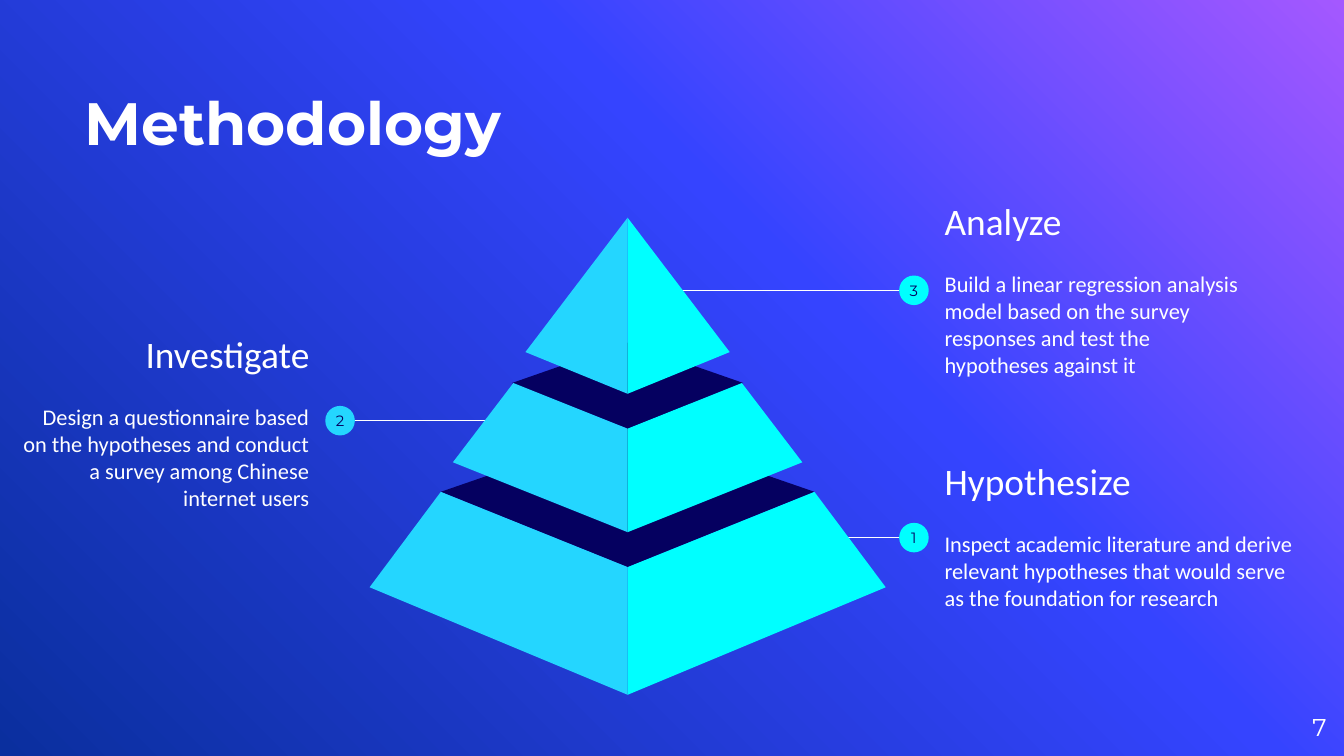
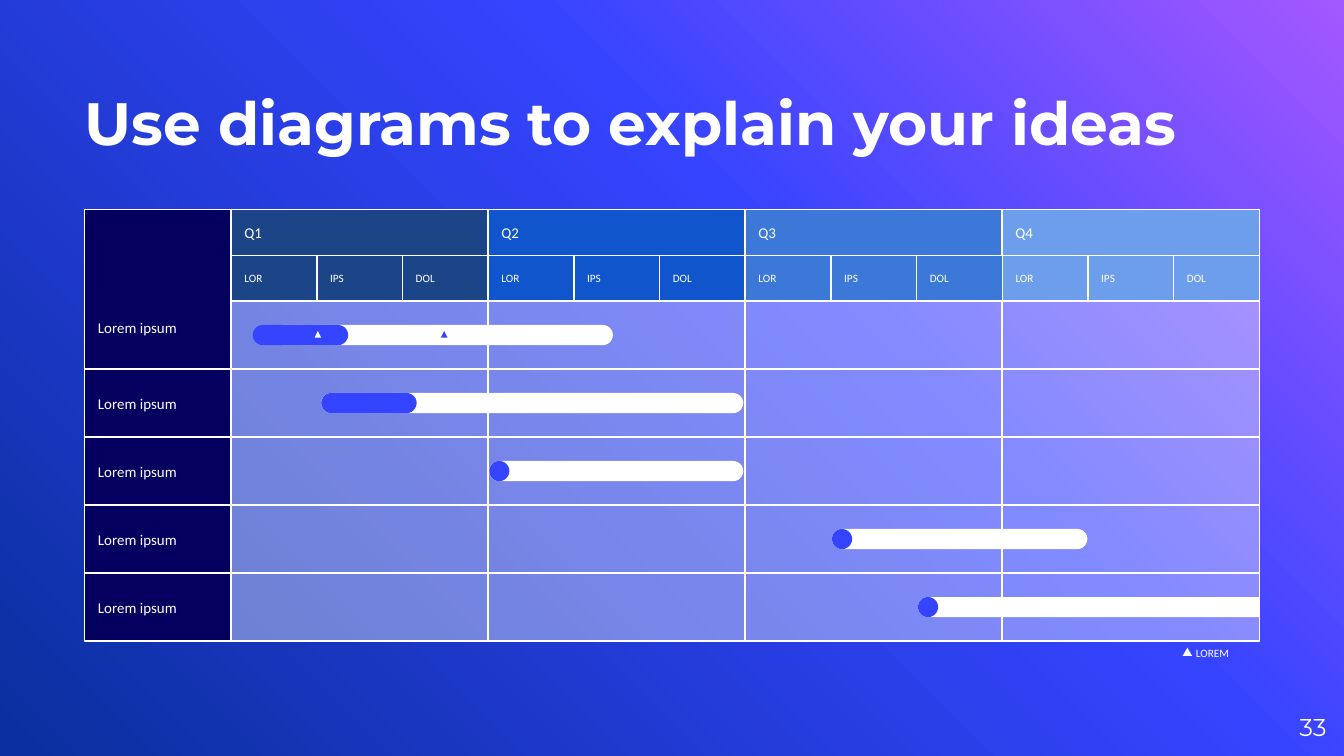
from copy import deepcopy
from dataclasses import dataclass
from itertools import product

from lxml.etree import SubElement
from pptx import Presentation
from pptx.dml.color import RGBColor
from pptx.enum.shapes import MSO_CONNECTOR, MSO_SHAPE as SHAPE
from pptx.enum.text import MSO_ANCHOR as ANCHOR, PP_ALIGN as ALIGN
from pptx.oxml.ns import qn
from pptx.util import Inches, Pt


@dataclass(frozen=True)
class Theme:
    white: str = "FFFFFF"
    navy: str = "050060"
    blue: str = "3544FF"
    sky: str = "24D6FF"
    cyan: str = "00FFFF"
    quarters: tuple = ("1C4587", "1155CC", "3C78D8", "6D9EEB")
    gradient: tuple = ((0, "A458FF"), (0.39, "3544FF"), (1, "0A2F9E"))
    display: str = "Montserrat"
    text: str = "Calibri"
    title_size: int = 32
    heading_size: int = 20
    page_size: int = 13
    body_size: int = 12
    label_size: int = 8
    small_size: int = 6
    line_width: float = 0.75
    inset: float = 0.1
    cell_alpha: int = 38


T = Theme()


@dataclass(frozen=True)
class Box:
    x: float
    y: float
    w: float
    h: float

    @property
    def right(self):
        return self.x + self.w

    @property
    def bottom(self):
        return self.y + self.h

    def emu(self):
        return [Inches(v) for v in (self.x, self.y, self.w, self.h)]


def rgb(color):
    return RGBColor.from_string(color)


def set_frame(sp, anchor, inset=T.inset):
    tf = sp.text_frame
    tf.word_wrap = True
    tf.vertical_anchor = anchor
    tf.margin_left = tf.margin_right = Inches(inset)
    tf.margin_top = tf.margin_bottom = Inches(inset)
    return tf


def add_run(p, text, size, font=T.text, color=T.white, bold=False, align=ALIGN.LEFT):
    p.alignment = align
    r = p.add_run()
    r.text = text
    r.font.name = font
    r.font.size = Pt(size)
    r.font.bold = bold
    r.font.color.rgb = rgb(color)


def paint(sp, fill, outlined=False, alpha=None):
    sp.shadow.inherit = False
    sp.fill.solid()
    sp.fill.fore_color.rgb = rgb(fill)
    if alpha is not None:
        color = sp._element.spPr.find(qn("a:solidFill"))[0]
        SubElement(color, qn("a:alpha")).set("val", str(alpha * 1000))
    if outlined:
        sp.line.color.rgb = rgb(T.white)
        sp.line.width = Pt(T.line_width)
    else:
        sp.line.fill.background()
    return sp


def add_shape(s, kind, box, fill, **style):
    return paint(s.shapes.add_shape(kind, *box.emu()), fill, **style)


def add_line(s, x1, x2, y):
    line = s.shapes.add_connector(
        MSO_CONNECTOR.STRAIGHT, Inches(x1), Inches(y), Inches(x2), Inches(y))
    line.line.color.rgb = rgb(T.white)
    line.line.width = Pt(T.line_width)
    SubElement(line._element.spPr, qn("a:effectLst"))


def add_polygon(s, points, fill):
    points = [(Inches(x), Inches(y)) for x, y in points]
    builder = s.shapes.build_freeform(*points[0])
    builder.add_line_segments(points[1:], close=True)
    paint(builder.convert_to_shape(), fill)


def set_background(master):
    fill = master.background.fill
    fill.gradient()
    fill.gradient_angle = 225
    stops = master.element.cSld.find(".//" + qn("a:gsLst"))
    stops.append(deepcopy(stops[-1]))
    for stop, (position, color) in zip(fill.gradient_stops, T.gradient):
        stop.position = position
        stop.color.rgb = rgb(color)


def add_slide(prs, title, title_width, number):
    s = prs.slides.add_slide(prs.slide_layouts[6])
    sp = s.shapes.add_textbox(*Box(0.63, 0.23, title_width, 0.94).emu())
    tf = set_frame(sp, ANCHOR.BOTTOM, 0)
    add_run(tf.paragraphs[0], title, T.title_size, T.display, bold=True)
    sp = s.shapes.add_textbox(*Box(9.27, 5.19, 0.6, 0.43).emu())
    tf = set_frame(sp, ANCHOR.MIDDLE, 0)
    add_run(tf.paragraphs[0], str(number), T.page_size, T.display, align=ALIGN.RIGHT)
    return s


def draw_pyramid(s, box):
    axis = box.x + box.w / 2
    tiers = [
        ([(-1.39, 2.04), (0, 2.6), (1.39, 2.04), (0, 1.56)],
         [(1.39, 2.04), (1.92, 2.75), (0, 3.55), (0, 2.6)]),
        ([(-0.86, 1.23), (0, 1.57), (0.86, 1.23), (0, 0.93)],
         [(0.85, 1.23), (1.3, 1.82), (0, 2.34), (0, 1.57)]),
        (None, [(0, 0), (0.76, 1), (0, 1.31)]),
    ]
    for lid, face in tiers:
        if lid:
            add_polygon(s, [(axis + x, box.y + y) for x, y in lid], T.navy)
        for side, color in ((-1, T.sky), (1, T.cyan)):
            add_polygon(s, [(axis + side * x, box.y + y) for x, y in face], color)


def draw_step(s, box, number, heading, body, line_x, badge_y, on_left=False):
    size = 0.22
    center = box.right + 0.13 if on_left else box.x - 0.13
    align = ALIGN.RIGHT if on_left else ALIGN.LEFT
    add_line(s, line_x, center, badge_y)

    badge_box = Box(center - size / 2, badge_y - size / 2, size, size)
    badge = add_shape(s, SHAPE.OVAL, badge_box, T.sky if on_left else T.cyan)
    tf = set_frame(badge, ANCHOR.MIDDLE, 0)
    add_run(tf.paragraphs[0], str(number), T.label_size, T.display, T.navy,
            align=ALIGN.CENTER)

    tf = set_frame(s.shapes.add_textbox(*box.emu()), ANCHOR.MIDDLE)
    p = tf.paragraphs[0]
    p.space_after = Pt(14.6)
    add_run(p, heading, T.heading_size, align=align)
    p = tf.add_paragraph()
    p.space_after = Pt(16)
    add_run(p, body, T.body_size, align=align)


def methodology_slide(prs):
    s = add_slide(prs, "Methodology", 6.58, 7)
    draw_step(s, Box(6.93, 3.22, 2.82, 1.51), 1, "Hypothesize",
              "Inspect academic literature and derive relevant hypotheses "
              "that would serve as the foundation for research", 6.27, 4)
    draw_step(s, Box(0.02, 2.38, 2.38, 1.51), 2, "Investigate",
              "Design a questionnaire based on the hypotheses and conduct "
              "a survey among Chinese internet users", 3.64, 3.13, on_left=True)
    draw_step(s, Box(6.93, 1.39, 2.52, 1.51), 3, "Analyze",
              "Build a linear regression analysis model based on the survey "
              "responses and test the hypotheses against it", 5.03, 2.16)
    draw_pyramid(s, Box(2.75, 1.62, 3.84, 3.55))


def add_cell(s, box, fill, text, size=T.label_size, anchor=ANCHOR.MIDDLE):
    sp = add_shape(s, SHAPE.RECTANGLE, box, fill, outlined=True)
    tf = set_frame(sp, anchor)
    add_run(tf.paragraphs[0], text, size)
    return tf


def add_bar(s, x, y, length, fill, round_end=True):
    thick = 0.15
    box = Box(x + (length - thick) / 2, y - length / 2, thick, length)
    sp = add_shape(s, SHAPE.ROUND_2_SAME_RECTANGLE, box, fill)
    sp.rotation = 90
    sp.adjustments[0] = 0.5 if round_end else 0
    sp.adjustments[1] = 0.5


def draw_header(s, box):
    quarter_w, row_h = box.w / 4, box.h / 2
    month_w = quarter_w / 3
    for q, color in enumerate(T.quarters):
        x = box.x + q * quarter_w
        add_cell(s, Box(x, box.y, quarter_w, row_h), color, f"Q{q + 1}")
        for m, month in enumerate(("LOR", "IPS", "DOL")):
            add_cell(s, Box(x + m * month_w, box.y + row_h, month_w, row_h),
                     color, month, T.small_size)


def draw_bars(s, box, row_h):
    bars = [
        (0.31, 2.53, 0.16, 0.71),
        (0.67, 3.14, 0.67, 0.71),
        (1.92, 1.89, 1.92, 0.15),
        (4.47, 1.9, 4.47, 0.15),
        (5.11, 2.54, 5.11, 0.15),
    ]
    for i, (start, length, done_start, done) in enumerate(bars):
        y = box.y + (i + 0.5) * row_h
        add_bar(s, box.x + start, y, length, T.white, round_end=i < len(bars) - 1)
        add_bar(s, box.x + done_start, y, done, T.blue)
    for x, color in ((0.62, T.white), (1.56, T.blue)):
        marker = Box(box.x + x, box.y + row_h / 2 - 0.03, 0.05, 0.05)
        add_shape(s, SHAPE.ISOSCELES_TRIANGLE, marker, color)


def draw_legend(s, box):
    tf = set_frame(s.shapes.add_textbox(*box.emu()), ANCHOR.MIDDLE)
    tf.margin_top = tf.margin_bottom = 0
    add_run(tf.paragraphs[0], "LOREM", T.small_size)
    add_shape(s, SHAPE.ISOSCELES_TRIANGLE, Box(box.x, box.y + 0.02, 0.07, 0.06), T.white)


def draw_gantt(s, box):
    rows, label_w, header_h = 5, 1.09, 0.68
    grid = Box(box.x + label_w, box.y + header_h, box.w - label_w, box.h - header_h)
    row_h, quarter_w = grid.h / rows, grid.w / 4
    for q, i in product(range(4), range(rows)):
        cell = Box(grid.x + q * quarter_w, grid.y + i * row_h, quarter_w, row_h)
        add_shape(s, SHAPE.RECTANGLE, cell, T.white, outlined=True, alpha=T.cell_alpha)
    draw_header(s, Box(grid.x, box.y, grid.w, header_h))

    tf = add_cell(s, Box(box.x, box.y, label_w, header_h + row_h), T.navy,
                  "Lorem ipsum", anchor=ANCHOR.BOTTOM)
    tf.margin_bottom = Inches(0.24)
    for i in range(1, rows):
        add_cell(s, Box(box.x, grid.y + i * row_h, label_w, row_h), T.navy, "Lorem ipsum")
    draw_bars(s, grid, row_h)
    draw_legend(s, Box(box.right - 0.57, box.bottom + 0.03, 0.56, 0.11))


def diagram_slide(prs):
    s = add_slide(prs, "Use diagrams to explain your ideas", 8.74, 33)
    draw_gantt(s, Box(0.63, 1.56, 8.74, 3.21))


def main():
    prs = Presentation()
    prs.slide_width = Inches(10)
    prs.slide_height = prs.slide_width * 9 // 16
    set_background(prs.slide_master)
    methodology_slide(prs)
    diagram_slide(prs)
    prs.save("out.pptx")


if __name__ == "__main__":
    main()
